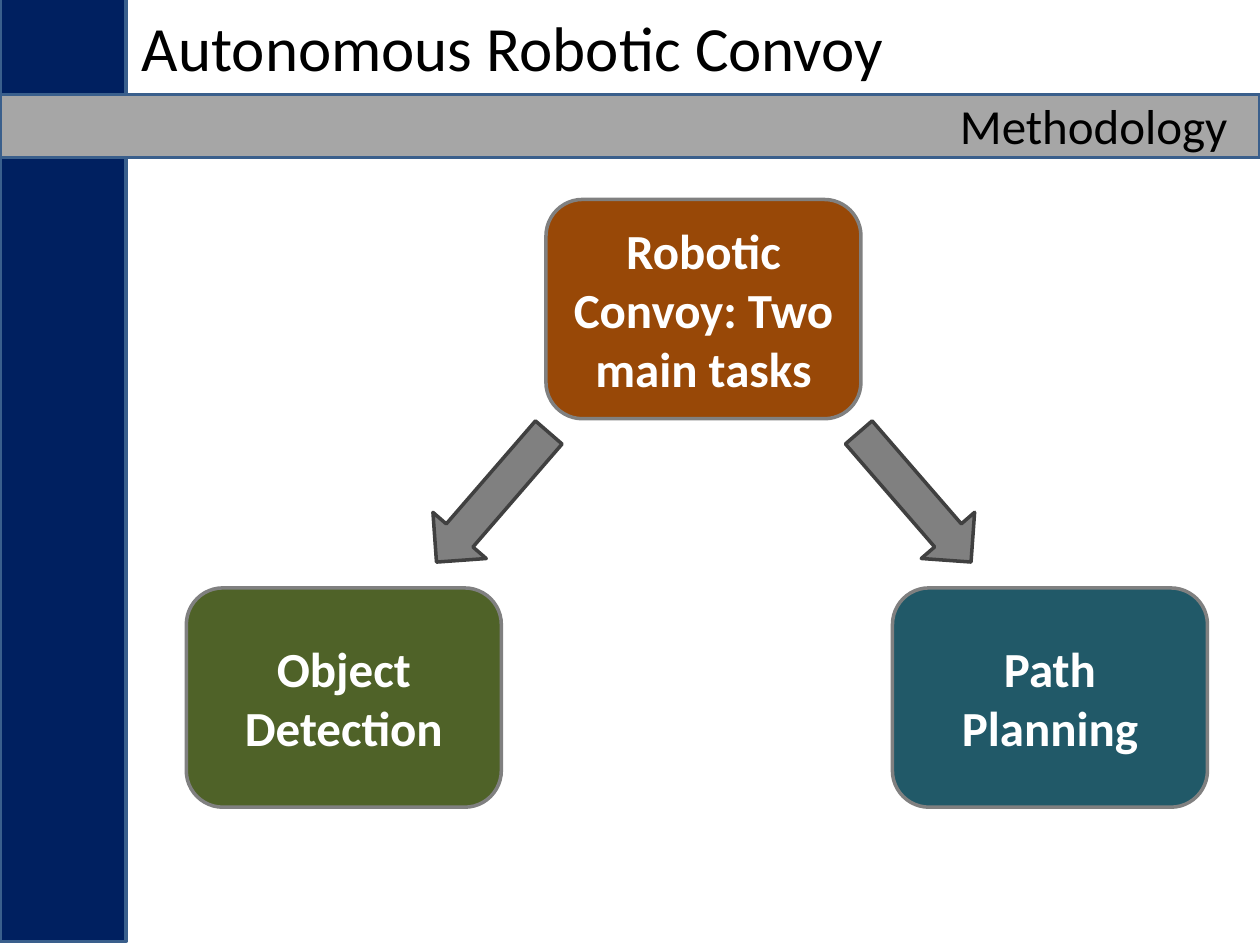
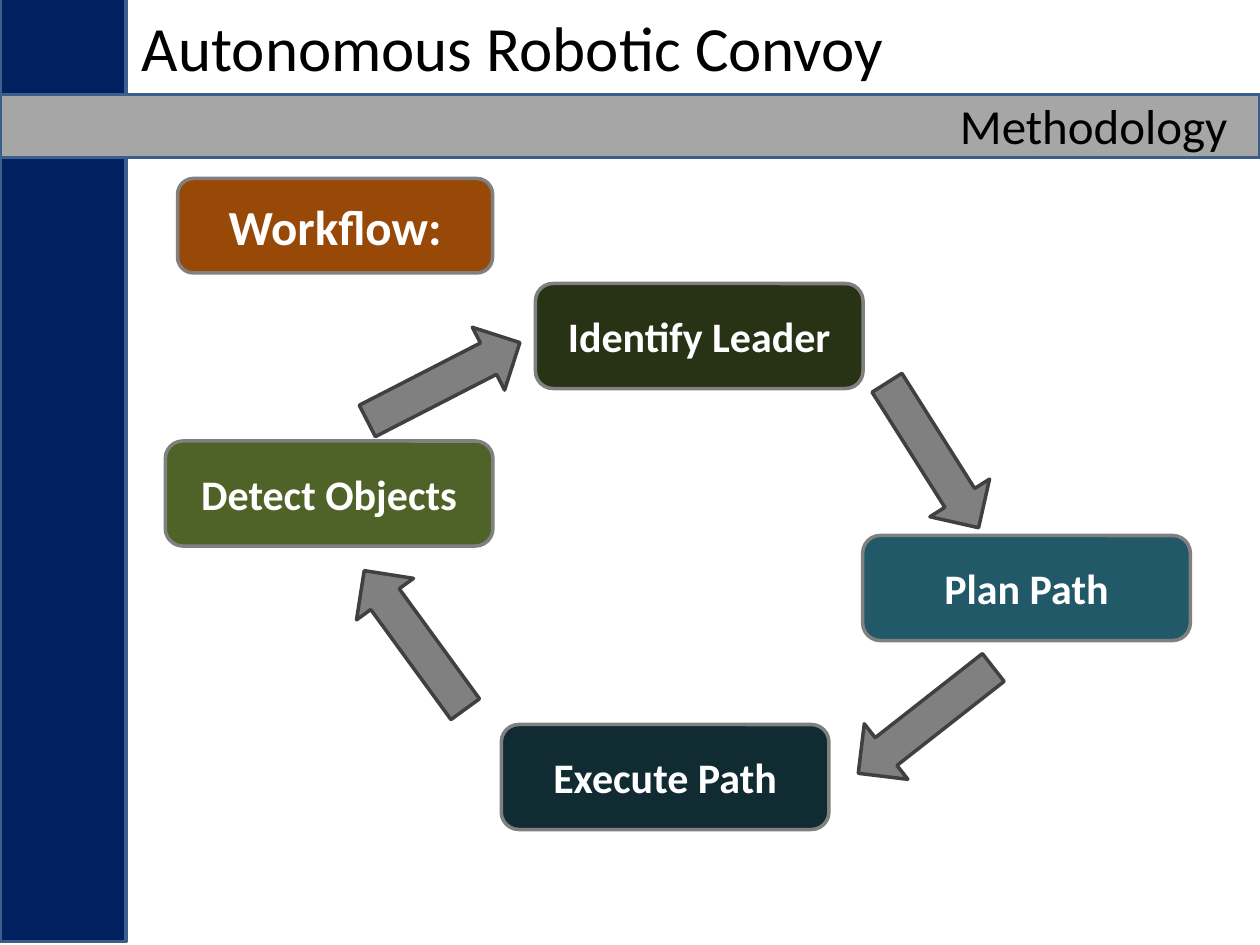
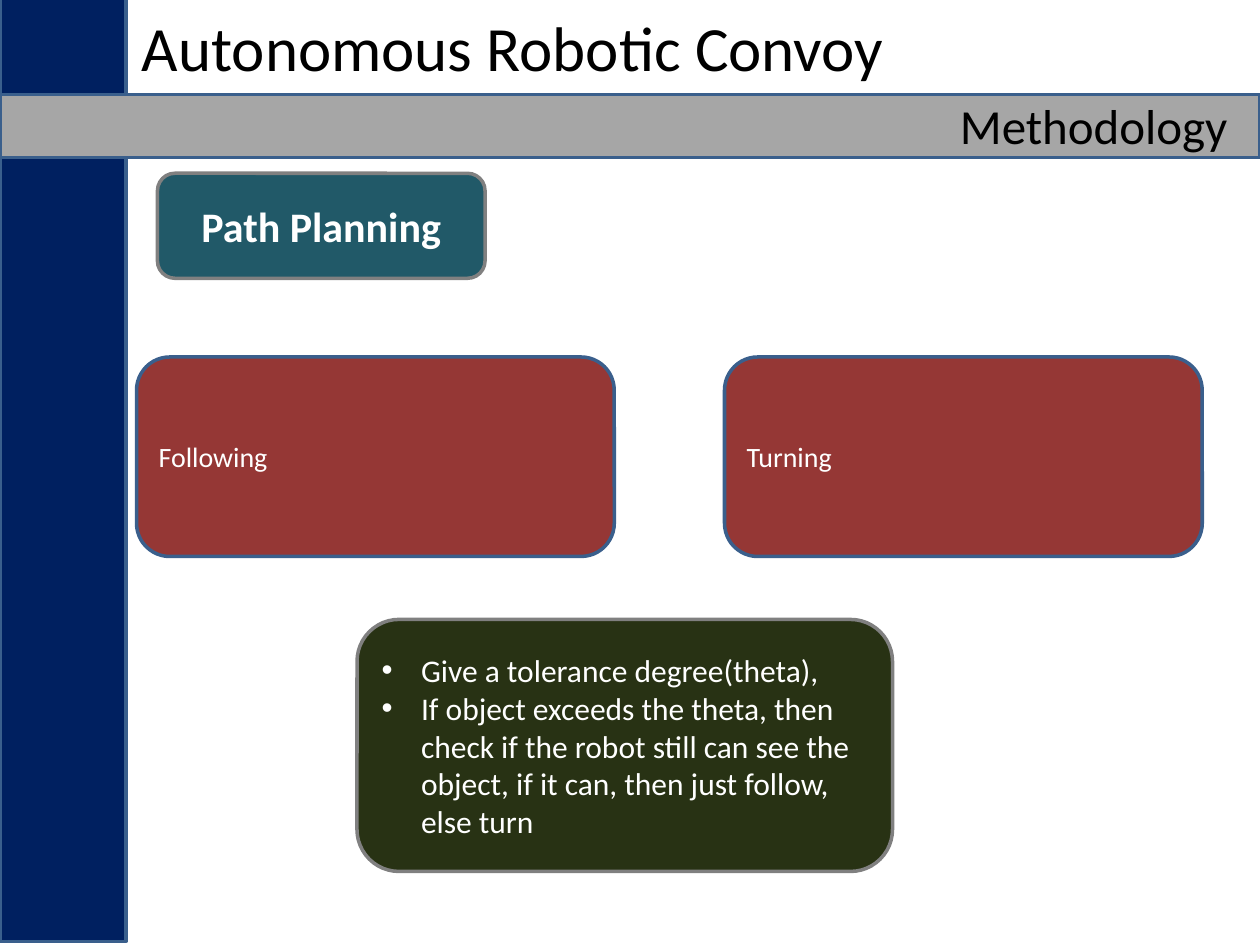
from dataclasses import dataclass

from lxml import etree
from pptx import Presentation
from pptx.dml.color import RGBColor
from pptx.enum.shapes import MSO_SHAPE
from pptx.enum.text import MSO_ANCHOR, PP_ALIGN
from pptx.oxml.ns import qn
from pptx.shapes.autoshape import Shape
from pptx.slide import Slide
from pptx.text.text import TextFrame
from pptx.util import Pt

RECT = MSO_SHAPE.RECTANGLE
ROUND_RECT = MSO_SHAPE.ROUNDED_RECTANGLE
RIGHT_ARROW = MSO_SHAPE.RIGHT_ARROW
LEFT, CENTER, RIGHT = PP_ALIGN.LEFT, PP_ALIGN.CENTER, PP_ALIGN.RIGHT
MIDDLE = MSO_ANCHOR.MIDDLE


@dataclass(frozen=True)
class Theme:
    font: str = "Calibri"
    navy: str = "002060"
    blue_edge: str = "3A5F8C"
    band: str = "A6A6A6"
    grey: str = "808080"
    dark_grey: str = "404040"
    orange: str = "984807"
    green: str = "4F6228"
    dark_green: str = "283214"
    teal: str = "215968"
    dark_teal: str = "102B32"
    red: str = "953735"
    black: str = "000000"
    white: str = "FFFFFF"
    title: float = 36
    heading: float = 28
    step: float = 24
    body: float = 18
    small: float = 16
    line: float = 2
    bullet_indent: float = 22.5


THEME = Theme()


@dataclass(frozen=True)
class Frame:
    left: float
    top: float
    width: float
    height: float


@dataclass(frozen=True)
class Box:
    text: str
    frame: Frame
    fill: str
    size: float
    line: str = THEME.grey
    bold: bool = True
    align: PP_ALIGN = CENTER
    bullets: bool = False


@dataclass(frozen=True)
class Arrow:
    left: float
    top: float
    rotation: float


def task_frame(left: float, top: float) -> Frame:
    return Frame(left, top, 180, 125.3)


def step_frame(left: float, top: float) -> Frame:
    return Frame(left, top, 187.2, 60)


def mode_box(text: str, left: float) -> Box:
    return Box(text, Frame(left, 204, 273, 114), THEME.red, THEME.small,
               THEME.blue_edge, bold=False, align=LEFT)


TASKS = [
    Box("Robotic Convoy: Two main tasks", task_frame(312, 114), THEME.orange, THEME.heading),
    Box("Object Detection", task_frame(106.5, 336), THEME.green, THEME.heading),
    Box("Path Planning", task_frame(510, 336), THEME.teal, THEME.heading),
]
TASK_ARROWS = [Arrow(232.5, 264, 130.9), Arrow(473.8, 264, 49.1)]

WORKFLOW = [
    Box("Workflow:", Frame(101.5, 102, 180, 54), THEME.orange, THEME.heading),
    Box("Detect Objects", step_frame(94.5, 252), THEME.green, THEME.step),
    Box("Identify Leader", step_frame(306, 162), THEME.dark_green, THEME.step),
    Box("Plan Path", step_frame(493, 306), THEME.teal, THEME.step),
    Box("Execute Path", step_frame(286.5, 414), THEME.dark_teal, THEME.step),
]
WORKFLOW_ARROWS = [
    Arrow(204.5, 198, 332.8),
    Arrow(484, 240, 57.7),
    Arrow(480, 391.5, 141.9),
    Arrow(188, 345.5, 233.9),
]

PATH_PLANNING = [
    Box("Path Planning", step_frame(90, 99), THEME.teal, THEME.step),
    mode_box("Following", 78),
    mode_box("Turning", 414),
    Box("Give a tolerance degree(theta),\n"
        "If object exceeds the theta, then check if the robot still can see the object, "
        "if it can, then just follow, else turn",
        Frame(204, 354, 306, 144), THEME.dark_green, THEME.body,
        bold=False, align=LEFT, bullets=True),
]


def add_outlined(slide: Slide, kind: MSO_SHAPE, frame: Frame, fill: str, line: str) -> Shape:
    sp = slide.shapes.add_shape(kind, Pt(frame.left), Pt(frame.top),
                                Pt(frame.width), Pt(frame.height))
    sp.shadow.inherit = False
    sp.fill.solid()
    sp.fill.fore_color.rgb = RGBColor.from_string(fill)
    sp.line.color.rgb = RGBColor.from_string(line)
    sp.line.width = Pt(THEME.line)
    return sp


def write(tf: TextFrame, text: str, size: float, color: str,
          align: PP_ALIGN, bold: bool = False) -> None:
    tf.word_wrap = True
    tf.text = text
    for p in tf.paragraphs:
        p.alignment = align
        for r in p.runs:
            r.font.name = THEME.font
            r.font.size = Pt(size)
            r.font.bold = bold
            r.font.color.rgb = RGBColor.from_string(color)


def add_bullets(tf: TextFrame) -> None:
    indent = Pt(THEME.bullet_indent)
    for p in tf.paragraphs:
        pPr = p._p.get_or_add_pPr()
        pPr.set("marL", str(indent))
        pPr.set("indent", str(-indent))
        etree.SubElement(pPr, qn("a:buFont")).set("typeface", "Arial")
        etree.SubElement(pPr, qn("a:buChar")).set("char", "•")


def add_label(slide: Slide, text: str, frame: Frame, size: float, align: PP_ALIGN) -> None:
    sp = slide.shapes.add_textbox(Pt(frame.left), Pt(frame.top),
                                  Pt(frame.width), Pt(frame.height))
    write(sp.text_frame, text, size, THEME.black, align)


def add_box(slide: Slide, box: Box) -> None:
    sp = add_outlined(slide, ROUND_RECT, box.frame, box.fill, box.line)
    tf = sp.text_frame
    tf.vertical_anchor = MIDDLE
    write(tf, box.text, box.size, THEME.white, box.align, box.bold)
    if box.bullets:
        add_bullets(tf)


def add_arrow(slide: Slide, arrow: Arrow) -> None:
    frame = Frame(arrow.left, arrow.top, 98, 40.3)
    sp = add_outlined(slide, RIGHT_ARROW, frame, THEME.grey, THEME.dark_grey)
    sp.rotation = arrow.rotation


def add_header(slide: Slide) -> None:
    add_outlined(slide, RECT, Frame(0, -2, 72, 540), THEME.navy, THEME.blue_edge)
    add_outlined(slide, RECT, Frame(0, 54, 720, 36), THEME.band, THEME.blue_edge)
    add_label(slide, "Autonomous Robotic Convoy", Frame(74, 1.5, 511, 51), THEME.title, LEFT)
    add_label(slide, "Methodology", Frame(513.5, 51, 195, 41), THEME.heading, RIGHT)


def main() -> None:
    prs = Presentation()
    prs.slide_width, prs.slide_height = Pt(720), Pt(540)
    blank = prs.slide_layouts[6]
    for boxes, arrows in ((TASKS, TASK_ARROWS), (WORKFLOW, WORKFLOW_ARROWS), (PATH_PLANNING, [])):
        slide = prs.slides.add_slide(blank)
        add_header(slide)
        for box in boxes:
            add_box(slide, box)
        for arrow in arrows:
            add_arrow(slide, arrow)
    prs.save("out.pptx")


if __name__ == "__main__":
    main()
